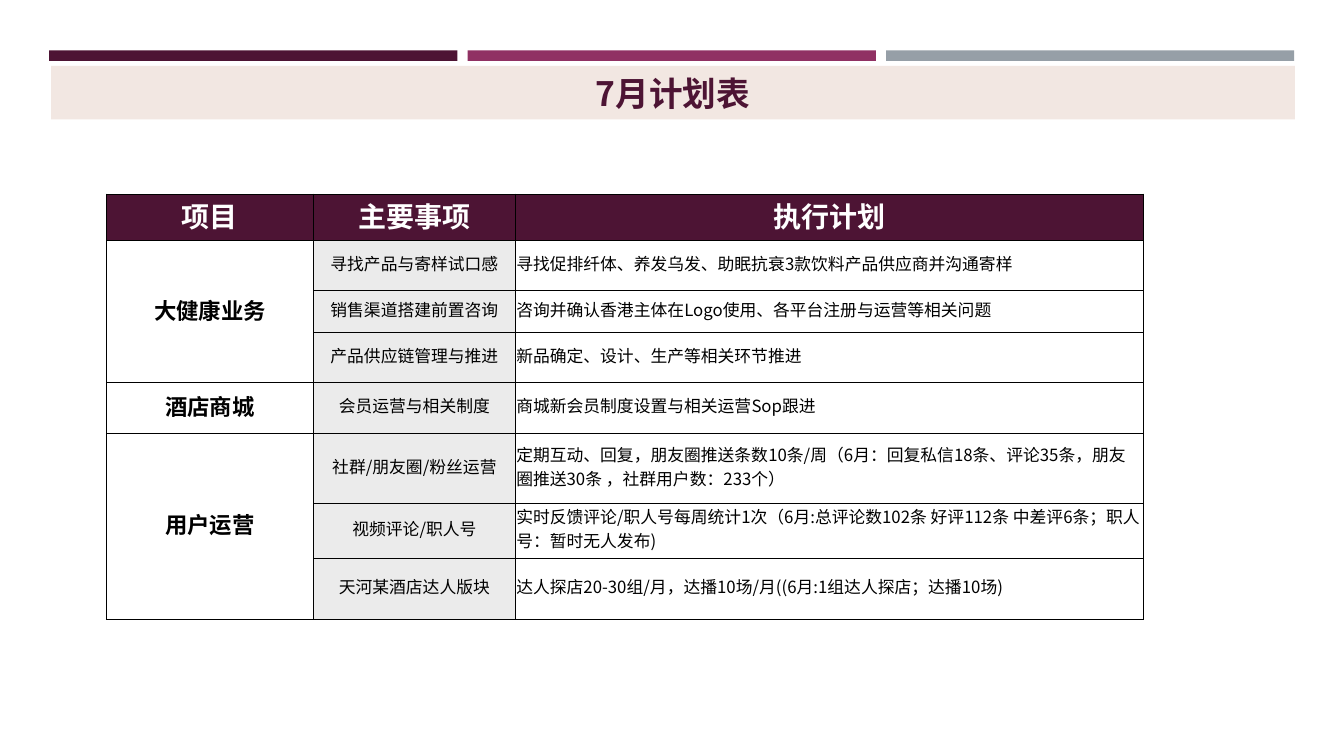
from lxml import etree
from pptx import Presentation
from pptx.dml.color import RGBColor
from pptx.enum import shapes, text
from pptx.oxml import ns
from pptx.util import Pt

PLUM = RGBColor(0x4D, 0x14, 0x34)
MAGENTA = RGBColor(0x90, 0x31, 0x63)
GRAY = RGBColor(0x96, 0x9F, 0xA7)
BLUSH = RGBColor(0xF2, 0xE7, 0xE2)
PALE = RGBColor(0xEB, 0xEB, 0xEB)
WHITE = RGBColor(0xFF, 0xFF, 0xFF)
BLACK = RGBColor(0, 0, 0)
FONT = "Noto Sans CJK SC"


def write(frame, wording, size=12, color=BLACK, bold=False, align=text.PP_ALIGN.CENTER):
    paragraph = frame.paragraphs[0]
    paragraph.alignment = align
    run = paragraph.add_run()
    run.text = wording
    run.font.size = Pt(size)
    run.font.bold = bold
    run.font.color.rgb = color
    run.font.name = FONT
    east_asian = etree.SubElement(run.font._element, ns.qn("a:ea"))
    east_asian.set("typeface", FONT)


def add_bar(left, top, width, height, color):
    shape = slide.shapes.add_shape(
        shapes.MSO_SHAPE.RECTANGLE, Pt(left), Pt(top), Pt(width), Pt(height))
    shape.shadow.inherit = False
    shape.fill.solid()
    shape.fill.fore_color.rgb = color
    shape.line.fill.background()
    return shape


presentation = Presentation()
presentation.slide_width = Pt(960)
presentation.slide_height = Pt(540)
slide = presentation.slides.add_slide(presentation.slide_layouts[6])

for index, color in enumerate((PLUM, MAGENTA, GRAY)):
    add_bar(35.1 + index * 298.9, 36, 291.6, 7.6, color)

title = add_bar(36.5, 47, 888.5, 38.3, BLUSH)
title.text_frame.vertical_anchor = text.MSO_ANCHOR.MIDDLE
write(title.text_frame, "7月计划表", size=24, color=PLUM, bold=True)

headings = ("项目", "主要事项", "执行计划")
projects = (
    ("大健康业务", (
        ("寻找产品与寄样试口感", "寻找促排纤体、养发乌发、助眠抗衰3款饮料产品供应商并沟通寄样"),
        ("销售渠道搭建前置咨询", "咨询并确认香港主体在Logo使用、各平台注册与运营等相关问题"),
        ("产品供应链管理与推进", "新品确定、设计、生产等相关环节推进"),
    )),
    ("酒店商城", (
        ("会员运营与相关制度", "商城新会员制度设置与相关运营Sop跟进"),
    )),
    ("用户运营", (
        ("社群/朋友圈/粉丝运营",
         "定期互动、回复，朋友圈推送条数10条/周（6月：回复私信18条、评论35条，朋友圈推送30条 ，社群用户数：233个）"),
        ("视频评论/职人号",
         "实时反馈评论/职人号每周统计1次（6月:总评论数102条 好评112条 中差评6条；职人号：暂时无人发布)"),
        ("天河某酒店达人版块", "达人探店20-30组/月，达播10场/月((6月:1组达人探店；达播10场)"),
    )),
)
column_widths = (147.8, 144.2, 448.6)
row_heights = (32.7, 35.2, 30.5, 35.2, 36.4, 50.2, 39, 43.6)

table = slide.shapes.add_table(
    len(row_heights), len(column_widths), Pt(76.1), Pt(138.6),
    Pt(sum(column_widths)), Pt(sum(row_heights))).table
for column, width in zip(table.columns, column_widths):
    column.width = Pt(width)
for row, height in zip(table.rows, row_heights):
    row.height = Pt(height)

for column, heading in enumerate(headings):
    write(table.cell(0, column).text_frame, heading, size=20, color=WHITE, bold=True)

row = 1
for project, tasks in projects:
    project_cell = table.cell(row, 0)
    if len(tasks) > 1:
        project_cell.merge(table.cell(row + len(tasks) - 1, 0))
    write(project_cell.text_frame, project, size=16, bold=True)
    for task, plan in tasks:
        write(table.cell(row, 1).text_frame, task)
        write(table.cell(row, 2).text_frame, plan, align=text.PP_ALIGN.LEFT)
        row += 1

for row in range(len(row_heights)):
    for column in range(len(column_widths)):
        cell = table.cell(row, column)
        cell.vertical_anchor = text.MSO_ANCHOR.MIDDLE
        cell.margin_left = cell.margin_top = cell.margin_right = Pt(0.7)
        cell.margin_bottom = Pt(3.6)
        properties = cell._tc.get_or_add_tcPr()
        for side in ("lnL", "lnR", "lnT", "lnB"):
            border = etree.SubElement(properties, ns.qn("a:" + side), w=str(Pt(0.5)))
            fill = etree.SubElement(border, ns.qn("a:solidFill"))
            etree.SubElement(fill, ns.qn("a:srgbClr"), val=str(BLACK))
        cell.fill.solid()
        cell.fill.fore_color.rgb = PLUM if row == 0 else PALE if column == 1 else WHITE

presentation.save("out.pptx")
